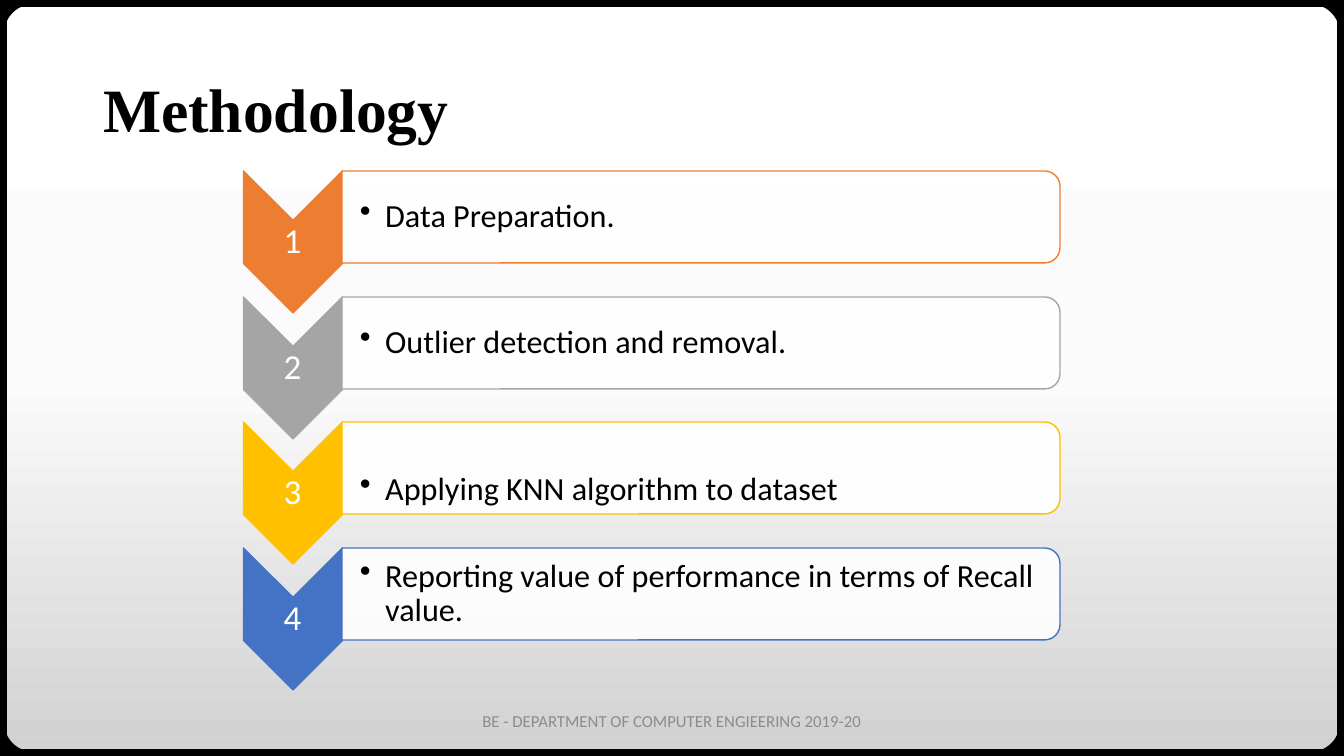
from copy import deepcopy

from lxml import etree
from pptx import Presentation
from pptx import util as u
from pptx.dml.color import RGBColor
from pptx.enum import shapes, text
from pptx.oxml.ns import qn

PX = 914400 / 100.8
BLACK = RGBColor(0x00, 0x00, 0x00)
WHITE = RGBColor(0xFF, 0xFF, 0xFF)
PALE = RGBColor(0xFB, 0xFB, 0xFB)
SILVER = RGBColor(0xD1, 0xD1, 0xD1)
FOOTER_GREY = RGBColor(0x8C, 0x8C, 0x8C)
ORANGE = RGBColor(0xED, 0x7D, 0x31)
GREY = RGBColor(0xA5, 0xA5, 0xA5)
GOLD = RGBColor(0xFF, 0xC0, 0x00)
BLUE = RGBColor(0x44, 0x72, 0xC4)

# Step text, colour, extra space above the text
STEPS = [
    ("Data Preparation.", ORANGE, 0),
    ("Outlier detection and removal.", GREY, 0),
    ("Applying KNN algorithm to dataset", GOLD, 44),
    ("Reporting value of performance in terms of Recall value.", BLUE, 0),
]

deck = Presentation()
deck.slide_width, deck.slide_height = round(1344 * PX), round(756 * PX)
page = deck.slides.add_slide(deck.slide_layouts[5])


def add_outline(kind, center_x, center_y, width, height, color, line_width):
    left, top = center_x - width / 2, center_y - height / 2
    shape = page.shapes.add_shape(kind, *(round(n * PX) for n in (left, top, width, height)))
    shape.shadow.inherit = False
    shape.fill.background()
    shape.line.color.rgb = color
    shape.line.width = u.Pt(line_width)
    return shape


def add_text(words, left, center_y, width, height, size, color, margins=None):
    top = center_y - height / 2
    box = page.shapes.add_textbox(*(round(n * PX) for n in (left, top, width, height)))
    frame = box.text_frame
    frame.word_wrap = True
    frame.vertical_anchor = text.MSO_ANCHOR.MIDDLE
    if margins:
        (frame.margin_left, frame.margin_top,
         frame.margin_right, frame.margin_bottom) = (round(n * PX) for n in margins)
    para = frame.paragraphs[0]
    para.text = words
    para.alignment = text.PP_ALIGN.CENTER
    para.font.name = "Calibri"
    para.font.size = u.Pt(size)
    para.font.color.rgb = color
    return para


# Background: three-stop vertical gradient
backdrop = page.background.fill
backdrop.gradient()
backdrop.gradient_angle = 270
first_stop = backdrop.gradient_stops[0]
first_stop.color.rgb = WHITE
last_stop = backdrop.gradient_stops[1]
last_stop.color.rgb = SILVER
stop_list = page.background._cSld.find(".//" + qn("a:gsLst"))
stop_list.insert(1, deepcopy(stop_list[0]))
middle_stop = backdrop.gradient_stops[1]
middle_stop.color.rgb = PALE
for stop, position in zip(backdrop.gradient_stops, (0, 0.5, 1)):
    stop.position = position

# Black frame with rounded inner corners
add_outline(shapes.MSO_SHAPE.RECTANGLE, 672, 378, 1344, 756, BLACK, 10)
inner_frame = add_outline(shapes.MSO_SHAPE.ROUNDED_RECTANGLE, 672, 378, 1344, 756, BLACK, 6)
inner_frame.adjustments[0] = 0.044

# Title
title = page.shapes.title
title.left, title.top, title.width, title.height = (round(n * PX) for n in (93, 40, 1159, 146))
title.text_frame.vertical_anchor = text.MSO_ANCHOR.MIDDLE
heading = title.text_frame.paragraphs[0]
heading.text = "Methodology"
heading.alignment = text.PP_ALIGN.LEFT
heading.line_spacing = 0.9
heading.font.name = "Times New Roman"
heading.font.size = u.Pt(44)
heading.font.bold = True
heading.font.color.rgb = BLACK

# Steps: numbered chevron and bulleted panel
for index, (words, color, space_above) in enumerate(STEPS):
    chevron_y = 242 + round(377 * index / 3)
    panel_y = chevron_y - 25

    chevron = add_outline(shapes.MSO_SHAPE.CHEVRON, 293, chevron_y, 142, 99, color, 1)
    chevron.rotation = 90
    chevron.fill.solid()
    chevron.fill.fore_color.rgb = color
    number = add_text(str(index + 1), 243, chevron_y, 99, 42, 25, WHITE, (2, 2, 2, 2))
    number.line_spacing = 0.9

    panel = add_outline(shapes.MSO_SHAPE.ROUND_2_SAME_RECTANGLE, 701, panel_y, 92, 718, color, 1)
    panel.rotation = 90
    panel.fill.solid()
    panel.fill.fore_color.rgb = WHITE
    panel_color = panel.fill._xPr.find(qn("a:solidFill"))[0]
    etree.SubElement(panel_color, qn("a:alpha"), val="90000")

    item = add_text(words, 342, panel_y, 713, 83, 23, BLACK, (18, 2 + space_above, 2, 2))
    item.alignment = text.PP_ALIGN.LEFT
    item.line_spacing = 0.9
    properties = item._p.get_or_add_pPr()
    properties.set("marL", str(u.Inches(0.25)))
    properties.set("indent", str(-u.Inches(0.25)))
    bullet = etree.Element(qn("a:buChar"), char="•")
    properties.find(qn("a:lnSpc")).addnext(bullet)

# Footer
add_text("BE - DEPARTMENT OF COMPUTER ENGIEERING 2019-20", 445, 721, 454, 40, 12, FOOTER_GREY)

deck.save("out.pptx")
